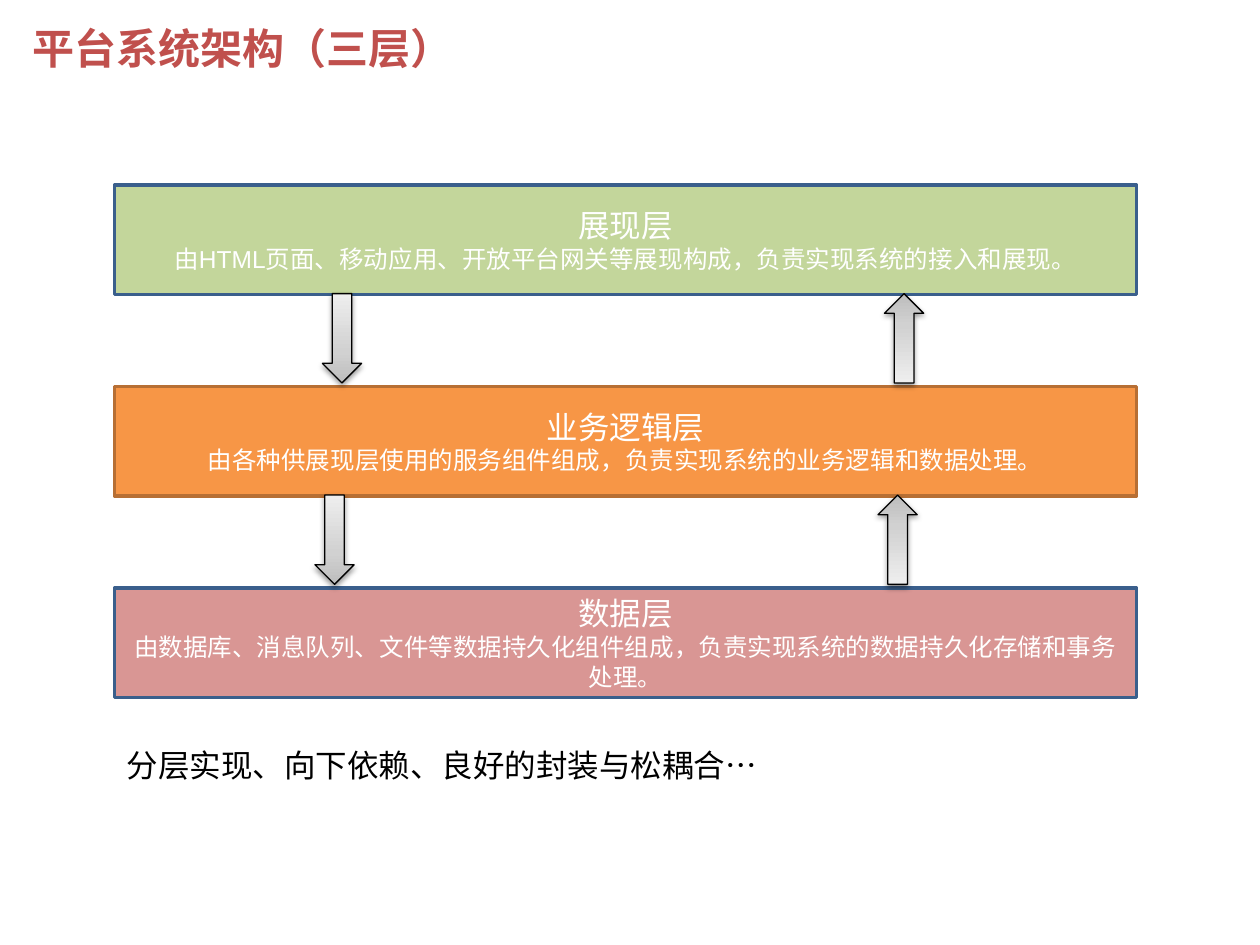
from copy import deepcopy
from dataclasses import dataclass

from lxml.etree import SubElement
from pptx import Presentation
from pptx.dml.color import RGBColor
from pptx.enum.shapes import MSO_SHAPE
from pptx.enum.text import MSO_ANCHOR, MSO_AUTO_SIZE, PP_ALIGN
from pptx.oxml.ns import qn
from pptx.util import Cm, Pt

LEFT, TOP, WIDTH, HEIGHT, PITCH = 2.31, 3.73, 20.6, 2.21, 4.06


@dataclass
class Layer:
    name: str
    note: str
    fill: str
    edge: str


@dataclass
class Arrow:
    left: float
    row: int
    turn: int


LAYERS = [
    Layer("展现层", "由HTML页面、移动应用、开放平台网关等展现构成，负责实现系统的接入和展现。", "C3D69B", "3A5F8C"),
    Layer("业务逻辑层", "由各种供展现层使用的服务组件组成，负责实现系统的业务逻辑和数据处理。", "F79646", "B76F34"),
    Layer("数据层", "由数据库、消息队列、文件等数据持久化组件组成，负责实现系统的数据持久化存储和事务处理。", "D99694", "3A5F8C"),
]
ARROWS = [Arrow(6.5, 0, 0), Arrow(17.83, 0, 180), Arrow(6.35, 1, 0), Arrow(17.7, 1, 180)]


def paint(target, color: str) -> None:
    target.rgb = RGBColor.from_string(color)


def write(para, text: str, font: str, size: float, color: str, bold: bool = False) -> None:
    para.text = text
    for run in para.runs:
        run.font.name = font
        run.font.size = Pt(size)
        run.font.bold = bold
        paint(run.font.color, color)


def draw_line(shape, color: str, width: float) -> None:
    paint(shape.line.color, color)
    shape.line.width = Pt(width)


def draw_title(slide) -> None:
    title = slide.shapes.title
    title.left, title.top, title.width, title.height = Cm(0.41), Cm(0.33), Cm(17.65), Cm(1.19)
    frame = title.text_frame
    frame.auto_size = MSO_AUTO_SIZE.NONE
    frame.vertical_anchor = MSO_ANCHOR.TOP
    para = frame.paragraphs[0]
    write(para, "平台系统架构（三层）", "Arial", 24, "C0504D", True)
    para.alignment = PP_ALIGN.LEFT


def draw_layer(slide, row: int, layer: Layer) -> None:
    box = slide.shapes.add_shape(
        MSO_SHAPE.RECTANGLE, Cm(LEFT), Cm(TOP + row * PITCH), Cm(WIDTH), Cm(HEIGHT))
    box.shadow.inherit = False
    box.fill.solid()
    paint(box.fill.fore_color, layer.fill)
    draw_line(box, layer.edge, 2)
    frame = box.text_frame
    frame.word_wrap = True
    frame.vertical_anchor = MSO_ANCHOR.MIDDLE
    write(frame.paragraphs[0], layer.name, "Lato", 18, "FFFFFF")
    write(frame.add_paragraph(), layer.note, "Arial", 14, "FFFFFF")
    for para in frame.paragraphs:
        para.alignment = PP_ALIGN.CENTER


def add_shade(shape) -> None:
    shape.shadow.inherit = False
    effects = shape._element.spPr.find(qn("a:effectLst"))
    shade = SubElement(effects, qn("a:outerShdw"), blurRad=str(Pt(3.1)),
                       dist=str(Pt(1.6)), dir="5400000", rotWithShape="0")
    color = SubElement(shade, qn("a:srgbClr"), val="000000")
    SubElement(color, qn("a:alpha"), val="38000")


def draw_arrow(slide, arrow: Arrow) -> None:
    shape = slide.shapes.add_shape(
        MSO_SHAPE.DOWN_ARROW, Cm(arrow.left), Cm(TOP + HEIGHT - 0.02 + arrow.row * PITCH),
        Cm(0.79), Cm(1.8))
    shape.rotation = arrow.turn
    shape.fill.gradient()
    shape.fill.gradient_angle = 90
    first = shape._element.spPr.find(".//" + qn("a:gs"))
    first.addnext(deepcopy(first))
    stops = [(0, "BDBDBD"), (0.35, "D1D1D1"), (1, "EEEEEE")]
    for stop, (place, color) in zip(shape.fill.gradient_stops, stops):
        stop.position = place
        paint(stop.color, color)
    draw_line(shape, "000000", 0.75)
    add_shade(shape)


def draw_note(slide) -> None:
    box = slide.shapes.add_textbox(Cm(LEFT), Cm(14.91), Cm(19.61), Cm(1.02))
    frame = box.text_frame
    frame.word_wrap = True
    frame.auto_size = MSO_AUTO_SIZE.SHAPE_TO_FIT_TEXT
    write(frame.paragraphs[0], "分层实现、向下依赖、良好的封装与松耦合…", "Lato", 18, "000000")


def main() -> None:
    deck = Presentation()
    deck.slide_width, deck.slide_height = Cm(25.4), Cm(19.05)
    slide = deck.slides.add_slide(deck.slide_layouts[5])
    draw_title(slide)
    draw_note(slide)
    for row, layer in enumerate(LAYERS):
        draw_layer(slide, row, layer)
    for arrow in ARROWS:
        draw_arrow(slide, arrow)
    deck.save("out.pptx")


if __name__ == "__main__":
    main()
